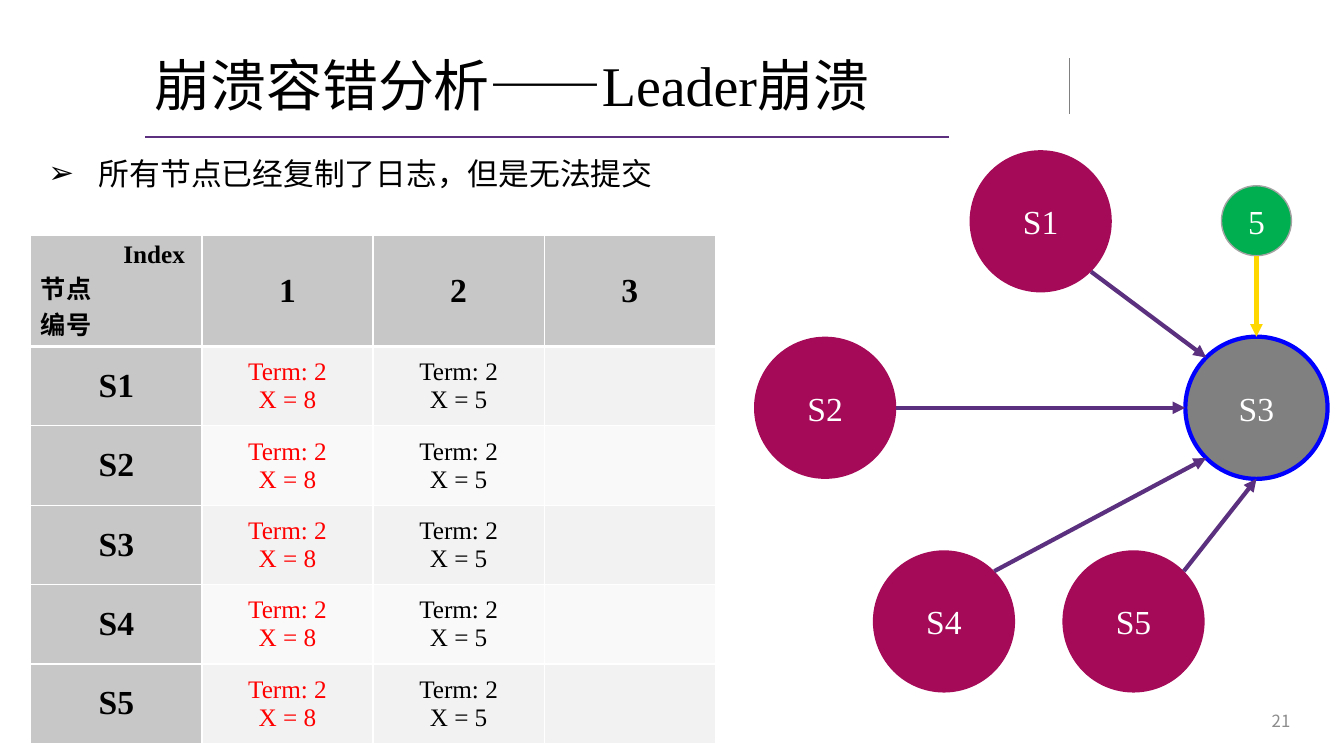
from dataclasses import dataclass
from math import sqrt

from lxml.etree import SubElement
from pptx import Presentation
from pptx.dml.color import RGBColor
from pptx.enum.shapes import MSO_CONNECTOR, MSO_SHAPE
from pptx.enum.text import MSO_ANCHOR as Anchor, MSO_AUTO_SIZE as AutoSize, PP_ALIGN as Align
from pptx.oxml.ns import qn
from pptx.util import Pt


@dataclass(frozen=True)
class Theme:
    latin: str = "Times New Roman"
    cjk: str = "Noto Sans CJK SC"
    title_size: int = 40
    label_size: int = 24
    bullet_size: int = 22
    entry_size: int = 18
    number_size: int = 12
    black: str = "000000"
    white: str = "FFFFFF"
    red: str = "FF0000"
    rule: str = "5C307E"
    arrow: str = "5B307E"
    gold: str = "FFD700"
    grey: str = "808080"
    number: str = "8C8C8C"
    header: str = "C7C7C7"
    bands: tuple = ("F2F2F2", "F9F9F9")
    follower: str = "A40A57"
    crashed_line: str = "0000FF"
    client: str = "00B050"
    client_line: str = "A3A3A3"


theme = Theme()


def write(paragraph, text, size, color, bold=False, align=Align.LEFT, font=theme.latin):
    paragraph.alignment = align
    run = paragraph.add_run()
    run.text = text
    run.font.size = Pt(size)
    run.font.bold = bold
    run.font.name = font
    run.font.color.rgb = RGBColor.from_string(color)
    SubElement(run.font._element, qn("a:ea"), typeface=theme.cjk)


def draw_line(start, end, color, width, arrow=False):
    line = slide.shapes.add_connector(MSO_CONNECTOR.STRAIGHT, *map(Pt, start + end))
    line.line.color.rgb = RGBColor.from_string(color)
    line.line.width = Pt(width)
    if arrow:
        SubElement(line.line._get_or_add_ln(), qn("a:tailEnd"), type="triangle")
    SubElement(line._element.spPr, qn("a:effectLst"))


deck = Presentation()
deck.slide_width, deck.slide_height = Pt(960), Pt(540)
slide = deck.slides.add_slide(deck.slide_layouts[1])

# Title and its rules
draw_line((103.7, 97.9), (678.2, 97.9), theme.rule, 1.5)
draw_line((763.9, 41.8), (763.9, 81.4), theme.grey, 1)
title = slide.shapes.title
title.left, title.top, title.width, title.height = map(Pt, (103, 28.8, 647.3, 69.1))
title.text_frame.vertical_anchor = Anchor.MIDDLE
title.text_frame.auto_size = AutoSize.NONE
heading = title.text_frame.paragraphs[0]
heading.line_spacing = 0.9
write(heading, "崩溃容错分析——Leader崩溃", theme.title_size, theme.black)

# Bullet
summary = slide.placeholders[1]
summary.left, summary.top, summary.width, summary.height = map(Pt, (27.4, 107, 523.4, 33.8))
summary.text_frame.auto_size = AutoSize.NONE
point = summary.text_frame.paragraphs[0]
point_format = point._p.get_or_add_pPr()
point_format.set("marL", str(Pt(36)))
point_format.set("indent", str(-Pt(36)))
SubElement(point_format, qn("a:buChar"), char="➢")
point.space_before = Pt(0)
write(point, "所有节点已经复制了日志，但是无法提交", theme.bullet_size, theme.black)

# Page number
page = slide.shapes.add_textbox(Pt(712.8), Pt(500.4), Pt(216), Pt(28.8)).text_frame
page.word_wrap = True
page.vertical_anchor = Anchor.MIDDLE
write(page.paragraphs[0], "21", theme.number_size, theme.number, align=Align.RIGHT, font=theme.cjk)

# Log table: the header row is tall enough for the three lines of its corner
header_height, entry_height = 79, 56.7
entries = [(("Term: 2", "X = 8"), theme.red), (("Term: 2", "X = 5"), theme.black)]
log = slide.shapes.add_table(
    6, 4, Pt(22), Pt(168.5), Pt(489), Pt(header_height + 5 * entry_height)).table
for column in log.columns:
    column.width = Pt(122.25)
for r, row in enumerate(log.rows):
    row.height = Pt(entry_height if r else header_height)
    for c, cell in enumerate(row.cells):
        is_header = r == 0 or c == 0
        text = cell.text_frame
        cell.vertical_anchor = Anchor.MIDDLE
        if r == c == 0:
            cell.vertical_anchor = Anchor.TOP
            corner = text.paragraphs[0]
            corner._p.get_or_add_pPr().set("marL", str(Pt(54)))
            write(corner, "Index", theme.entry_size, theme.black, True, Align.CENTER)
            for word in ("节点", "编号"):
                write(text.add_paragraph(), word, theme.entry_size, theme.black, True)
        elif is_header:
            label = f"S{r}" if r else str(c)
            write(text.paragraphs[0], label, theme.label_size, theme.black, True, Align.CENTER)
        elif c <= len(entries):
            words, color = entries[c - 1]
            for i, word in enumerate(words):
                paragraph = text.add_paragraph() if i else text.paragraphs[0]
                write(paragraph, word, theme.entry_size, color, align=Align.CENTER)
        # Borders come before the fill in the cell properties
        for side in ("L", "R", "T", "B"):
            width = 3 if (r, side) in ((0, "B"), (1, "T")) else 1
            border = SubElement(cell._tc.get_or_add_tcPr(), qn(f"a:ln{side}"), w=str(Pt(width)))
            SubElement(SubElement(border, qn("a:solidFill")), qn("a:srgbClr"), val=theme.white)
        cell.fill.solid()
        cell.fill.fore_color.rgb = RGBColor.from_string(
            theme.header if is_header else theme.bands[(r - 1) % 2])

# Nodes: centre, radius, fill, outline colour and width
radius = 50.8
nodes = {
    "S1": ((743.4, 158.1), radius, theme.follower, None, 0),
    "S2": ((589.4, 291.3), radius, theme.follower, None, 0),
    "S3": ((897.5, 291.3), radius, theme.grey, theme.crashed_line, 3),
    "S4": ((674.3, 443.9), radius, theme.follower, None, 0),
    "S5": ((809.7, 443.9), radius, theme.follower, None, 0),
    "5": ((897.5, 157.7), 25, theme.client, theme.client_line, 1),
}
for name, ((x, y), reach, fill, outline, width) in nodes.items():
    node = slide.shapes.add_shape(
        MSO_SHAPE.OVAL, Pt(x - reach), Pt(y - reach), Pt(2 * reach), Pt(2 * reach))
    node.shadow.inherit = False
    node.fill.solid()
    node.fill.fore_color.rgb = RGBColor.from_string(fill)
    if outline:
        node.line.color.rgb = RGBColor.from_string(outline)
        node.line.width = Pt(width)
    else:
        node.line.fill.background()
    node.text_frame.vertical_anchor = Anchor.MIDDLE
    write(node.text_frame.paragraphs[0], name, theme.label_size, theme.white, align=Align.CENTER)

# Messages to S3: each end lies on a circle in the given direction
d = 1 / sqrt(2)
messages = [
    ("S1", (d, d), (-d, -d), theme.arrow),
    ("5", (0, 1), (0, -1), theme.gold),
    ("S2", (1, 0), (-1, 0), theme.arrow),
    ("S4", (d, -d), (-d, d), theme.arrow),
    ("S5", (d, -d), (0, 1), theme.arrow),
]
for sender, leave, arrive, color in messages:
    start, end = (
        tuple(centre + nodes[name][1] * way for centre, way in zip(nodes[name][0], direction))
        for name, direction in ((sender, leave), ("S3", arrive)))
    draw_line(start, end, color, 3, arrow=True)

deck.save("out.pptx")
